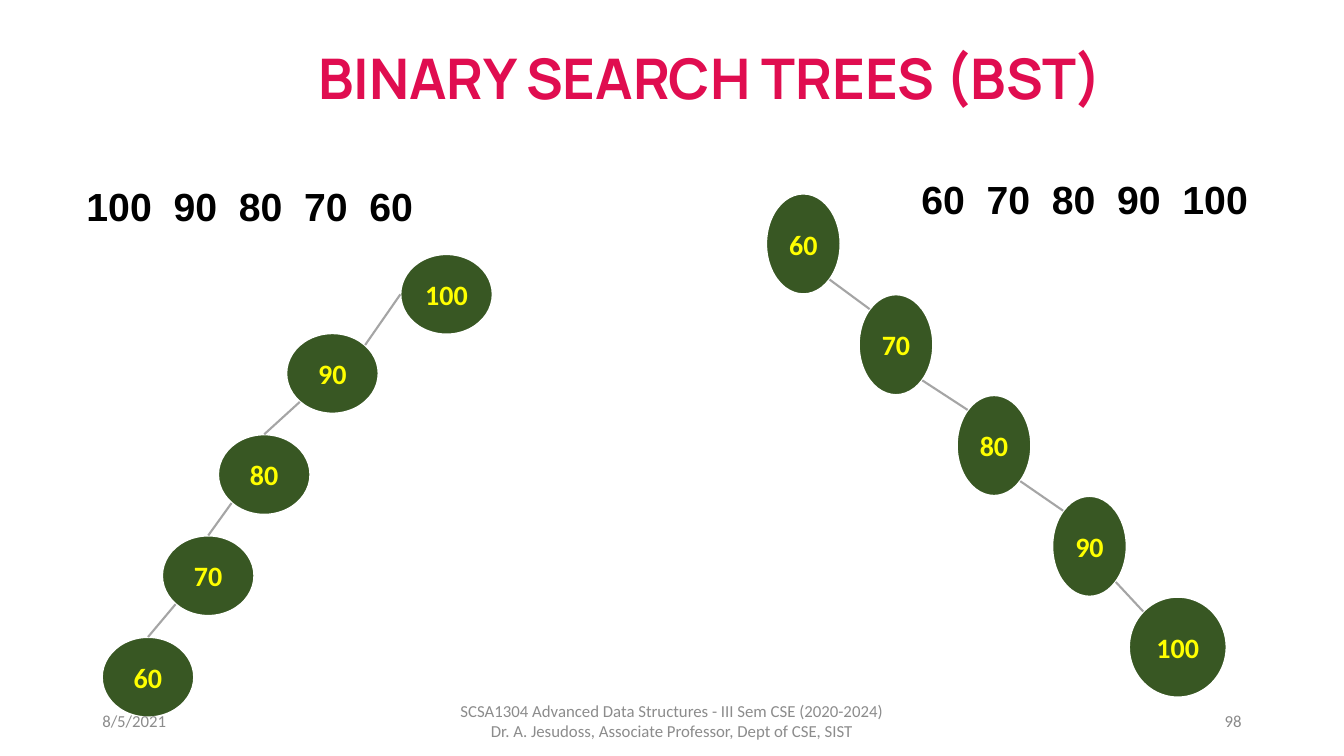
from math import cos, radians, sin

from lxml.etree import SubElement
from pptx import Presentation
from pptx.dml.color import RGBColor
from pptx.enum.shapes import MSO_CONNECTOR, MSO_SHAPE
from pptx.enum.text import MSO_ANCHOR, PP_ALIGN
from pptx.oxml.ns import qn
from pptx.util import Pt

# Directions around a node, in degrees clockwise from the right
LOWER_RIGHT, LOWER_LEFT, LEFT, UPPER_LEFT, TOP, UPPER_RIGHT = 45, 135, 180, 225, 270, 315


def color(value):
    return RGBColor.from_string(value)


def style_text(shape, text, size, font, text_color, bold, align, anchor):
    frame = shape.text_frame
    frame.word_wrap = True
    frame.vertical_anchor = anchor
    paragraph = frame.paragraphs[0]
    paragraph.text = text
    paragraph.alignment = align
    paragraph.font.size = Pt(size)
    paragraph.font.name = font
    paragraph.font.bold = bold
    paragraph.font.color.rgb = color(text_color)


def add_text(slide, box, text, size, font, text_color="000000", bold=True,
             align=PP_ALIGN.LEFT, anchor=MSO_ANCHOR.TOP):
    shape = slide.shapes.add_textbox(*map(Pt, box))
    style_text(shape, text, size, font, text_color, bold, align, anchor)


def add_node(tree, key, box):
    shape = tree.shapes.add_shape(MSO_SHAPE.OVAL, *map(Pt, box))
    shape.shadow.inherit = False
    shape.fill.solid()
    shape.fill.fore_color.rgb = color("385723")
    shape.line.color.rgb = color("FFFFFF")
    shape.line.width = Pt(1.5)
    frame = shape.text_frame
    frame.margin_left = frame.margin_right = 0
    style_text(shape, key, 20, "Calibri", "FFFF00", True, PP_ALIGN.CENTER, MSO_ANCHOR.MIDDLE)


def rim_point(box, angle):
    left, top, width, height = box
    turn = radians(angle)
    return Pt(left + width / 2 * (1 + cos(turn))), Pt(top + height / 2 * (1 + sin(turn)))


def add_edge(tree, parent, child, angles):
    start, end = angles
    edge = tree.shapes.add_connector(
        MSO_CONNECTOR.STRAIGHT, *rim_point(parent, start), *rim_point(child, end))
    edge.line.color.rgb = color("A5A5A5")
    edge.line.width = Pt(1.5)
    SubElement(edge._element.spPr, qn("a:effectLst"))


def add_tree(slide, keys, boxes, edge_angles):
    tree = slide.shapes.add_group_shape()
    for key, box in zip(keys, boxes):
        add_node(tree, key, box)
    for parent, child, angles in zip(boxes, boxes[1:], edge_angles):
        add_edge(tree, parent, child, angles)


def main():
    presentation = Presentation()
    presentation.slide_width = Pt(960)
    presentation.slide_height = Pt(540)
    slide = presentation.slides.add_slide(presentation.slide_layouts[6])

    # Tree leaning left, from descending keys
    corners = [(286, 181.5), (204.5, 238), (155.75, 310.25), (115.75, 382.5), (72.75, 455)]
    add_tree(slide, ["100", "90", "80", "70", "60"],
             [(left, top, 66, 57.5) for left, top in corners],
             [(LEFT, UPPER_RIGHT)] + [(LOWER_LEFT, TOP)] * 3)

    # Tree leaning right, from ascending keys
    spans = [(547.2, 53.2), (613.4, 53.2), (683.4, 53.2), (751.6, 53.2), (806.4, 69.8)]
    add_tree(slide, ["60", "70", "80", "90", "100"],
             [(left, 138.25 + 72 * level, width, 72)
              for level, (left, width) in enumerate(spans)],
             [(LOWER_RIGHT, UPPER_LEFT)] * 4)

    # Title and insertion orders
    add_text(slide, (89, 27.4, 836.6, 55.4), "BINARY SEARCH TREES (BST)", 40, "Manrope",
             "E00D50", align=PP_ALIGN.CENTER)
    add_text(slide, (54.7, 126.7, 255, 42.5), "100  90  80  70  60", 28, "Arial")
    add_text(slide, (651, 121.7, 255, 42.5), "60  70  80  90  100", 28, "Arial")

    # Footer
    footers = [
        (318, 324, "SCSA1304 Advanced Data Structures - III Sem CSE (2020-2024) "
                   "Dr. A. Jesudoss, Associate Professor, Dept of CSE, SIST",
         "8C8C8C", PP_ALIGN.CENTER),
        (678, 216, "98", "898989", PP_ALIGN.RIGHT),
        (66, 216, "8/5/2021", "8C8C8C", PP_ALIGN.LEFT),
    ]
    for left, width, text, text_color, align in footers:
        add_text(slide, (left, 500.5, width, 28.75), text, 12, "Calibri", text_color,
                 False, align, MSO_ANCHOR.MIDDLE)

    presentation.save("out.pptx")


if __name__ == "__main__":
    main()
